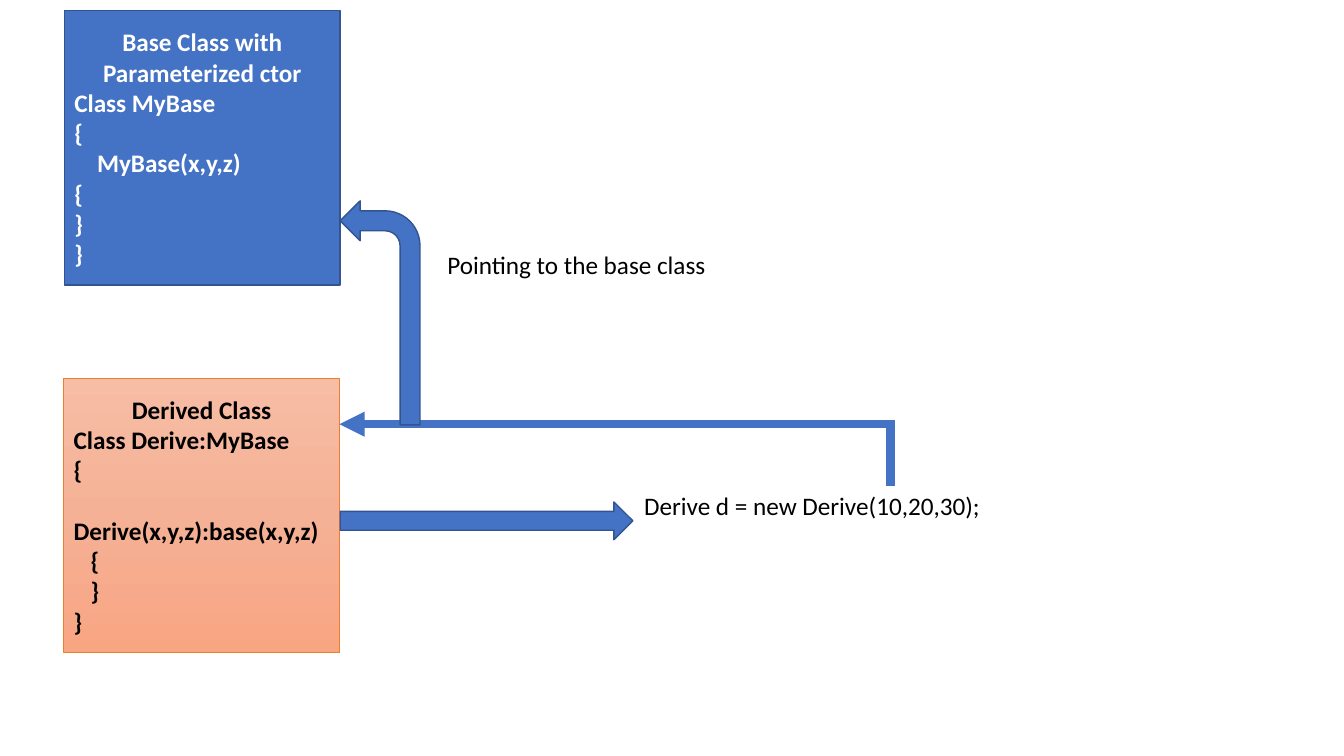
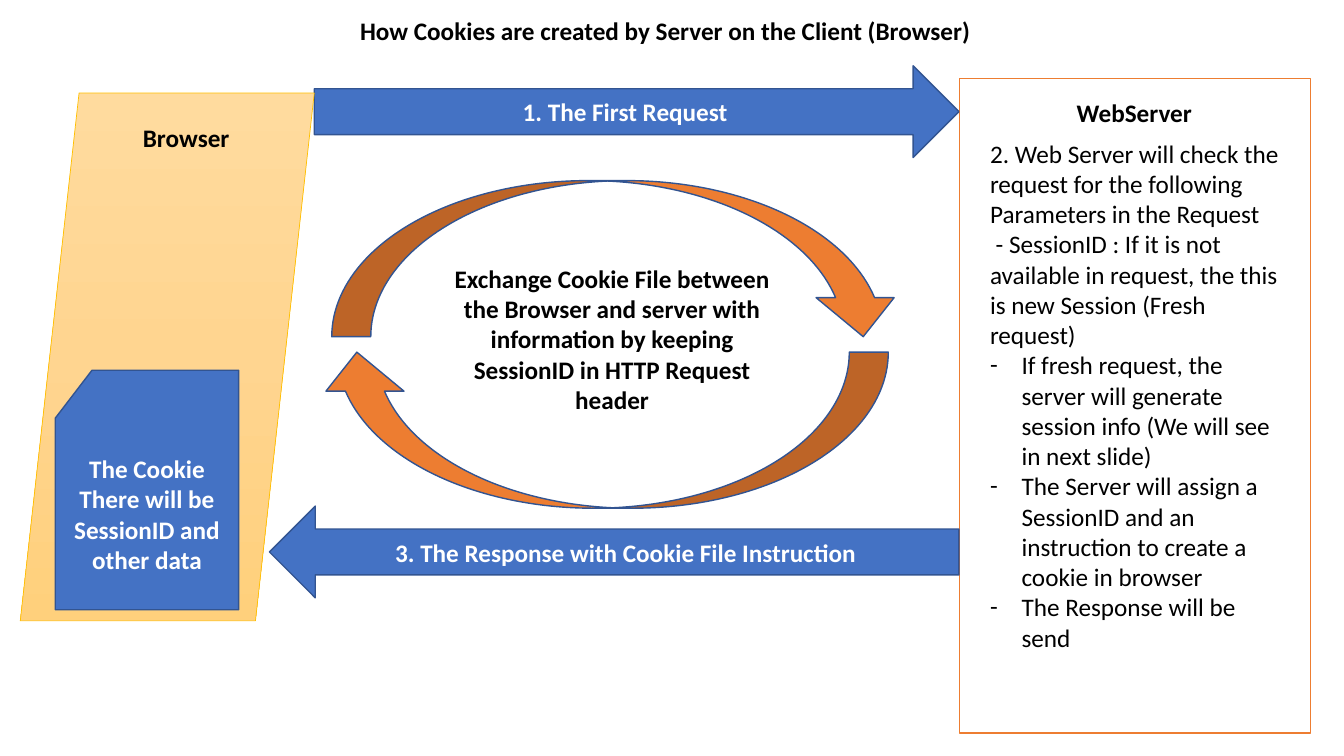
"""Two slides: constructor chaining in C# and the creation of cookies."""
from copy import deepcopy

from lxml.etree import SubElement
from pptx import Presentation
from pptx.dml.color import RGBColor
from pptx.enum.shapes import MSO_CONNECTOR, MSO_SHAPE
from pptx.enum.text import MSO_ANCHOR, MSO_AUTO_SIZE, PP_ALIGN
from pptx.oxml.ns import qn
from pptx.util import Pt

FONT = "Calibri"
BLACK = RGBColor(0x00, 0x00, 0x00)
WHITE = RGBColor(0xFF, 0xFF, 0xFF)
BLUE = RGBColor(0x44, 0x72, 0xC4)
NAVY = RGBColor(0x32, 0x54, 0x91)
ORANGE = RGBColor(0xED, 0x7D, 0x31)
GOLD = RGBColor(0xFF, 0xC0, 0x00)
PEACH = [RGBColor(0xF7, 0xBD, 0xA5), RGBColor(0xF5, 0xB1, 0x96), RGBColor(0xF8, 0xA5, 0x82)]
AMBER = [RGBColor(0xFF, 0xDB, 0x9E), RGBColor(0xFF, 0xD5, 0x90), RGBColor(0xFF, 0xD0, 0x7C)]
LEFT, CENTER = PP_ALIGN.LEFT, PP_ALIGN.CENTER

BASE_CLASS = ["Base Class with Parameterized ctor", "Class MyBase", "{",
              "    MyBase(x,y,z)", "{", "}", "}"]
DERIVED_CLASS = ["Derived Class", "Class Derive:MyBase", "{",
                 "   Derive(x,y,z):base(x,y,z)", "   {", "   }", "}"]
CALL = "Derive d = new Derive(10,20,30);"
POINTING = "Pointing to the base class"

TITLE = "How Cookies are created by Server on the Client (Browser)"
REQUEST = "1. The First Request"
RESPONSE = "3. The Response with Cookie File Instruction"
COOKIE = ["The Cookie", "There will be SessionID and other data"]
EXCHANGE = ("Exchange Cookie File between the Browser and server with information "
            "by keeping SessionID in HTTP Request header")
CHECKS = [
    "2. Web Server will check the request for the following Parameters in the Request",
    "- SessionID : If it is not available in request, the this is new Session (Fresh request)",
]
STEPS = [
    "If fresh request, the server will generate session info (We will see in next slide)",
    "The Server will assign a SessionID and an instruction to create a cookie in browser",
    "The Response will be send",
]
FIRST_INDENT, HANGING = 4, 22.5


def write(tf, lines, color=BLACK, bold=False, align=LEFT, rest=None, anchor=MSO_ANCHOR.TOP):
    """Fill a text frame; rest is the alignment after the first paragraph."""
    tf.word_wrap = True
    tf.vertical_anchor = anchor
    for i, line in enumerate([lines] if isinstance(lines, str) else lines):
        p = tf.add_paragraph() if i else tf.paragraphs[0]
        p.alignment = rest if i and rest is not None else align
        p.space_before = Pt(0)
        r = p.add_run()
        r.text = line
        r.font.name, r.font.size, r.font.bold = FONT, Pt(18), bold
        r.font.color.rgb = color


def place(sp, box):
    """Move and size a shape."""
    sp.left, sp.top, sp.width, sp.height = map(Pt, box)


def label(s, box, text, **fmt):
    """Add a text box."""
    sp = s.shapes.add_textbox(*map(Pt, box))
    write(sp.text_frame, text, **fmt)
    sp.text_frame.auto_size = MSO_AUTO_SIZE.SHAPE_TO_FIT_TEXT


def shape(s, kind, box, fill=BLUE, line=NAVY, weight=1, text=None, color=WHITE, rest=None):
    """Add a preset shape; a list of three colours is a downward gradient."""
    sp = s.shapes.add_shape(kind, *map(Pt, box))
    sp.shadow.inherit = False
    if isinstance(fill, list):
        sp.fill.gradient()
        sp.fill.gradient_angle = 270
        first = sp._element.spPr.find(".//" + qn("a:gs"))
        first.addnext(deepcopy(first))
        for stop, rgb, position in zip(sp.fill.gradient_stops, fill, (0, 0.5, 1)):
            stop.color.rgb, stop.position = rgb, position
    else:
        sp.fill.solid()
        sp.fill.fore_color.rgb = fill
    sp.line.color.rgb, sp.line.width = line, Pt(weight)
    if text:
        write(sp.text_frame, text, color=color, bold=True, align=CENTER, rest=rest,
              anchor=MSO_ANCHOR.MIDDLE)
    return sp


def bent_line(s, tip, tail):
    """Add a one-bend connector with an arrowhead at its tip."""
    c = s.shapes.add_connector(MSO_CONNECTOR.ELBOW, *map(Pt, tip + tail))
    spPr = c._element.spPr
    spPr.find(qn("a:prstGeom")).set("prst", "bentConnector2")
    c.line.color.rgb, c.line.width = BLUE, Pt(6)
    ln = c.line._get_or_add_ln()
    SubElement(ln, qn("a:miter"), lim="800000")
    SubElement(ln, qn("a:headEnd"), type="triangle")
    SubElement(spPr, qn("a:effectLst"))


def set_bullet(p, margin, indent, char=None):
    """Set the indents and the bullet of a paragraph."""
    pPr = p._p.get_or_add_pPr()
    pPr.set("marL", str(Pt(margin)))
    pPr.set("indent", str(Pt(indent)))
    if char:
        SubElement(pPr, qn("a:buFont"), typeface=FONT)
        SubElement(pPr, qn("a:buChar"), char=char)
    else:
        SubElement(pPr, qn("a:buNone"))


def constructor_slide(prs):
    """Base and derived class with the call between them."""
    s = prs.slides.add_slide(prs.slide_layouts[6])
    shape(s, MSO_SHAPE.RECTANGLE, (46, 7.5, 197, 196), text=BASE_CLASS, rest=LEFT)
    shape(s, MSO_SHAPE.RECTANGLE, (45.5, 270, 197, 196), PEACH, ORANGE, 0.5,
          DERIVED_CLASS, BLACK, LEFT)
    shape(s, MSO_SHAPE.RIGHT_ARROW, (243, 358.5, 209, 27))
    label(s, (453, 347, 366, 29), CALL)
    bent_line(s, (242.5, 303), (636, 347))
    arrow = shape(s, MSO_SHAPE.BENT_ARROW, (243, 143.5, 57, 160))
    arrow._element.spPr.find(qn("a:xfrm")).set("flipH", "1")
    label(s, (312.5, 174.5, 348, 29), POINTING)


def cookie_slide(prs):
    """Request and response between browser and web server."""
    s = prs.slides.add_slide(prs.slide_layouts[1])
    title, body = s.shapes.title, s.placeholders[1]
    place(title, (14.5, 7, 921.5, 29))
    write(title.text_frame, TITLE, bold=True, align=CENTER)
    shape(s, MSO_SHAPE.RECTANGLE, (685.5, 56, 250.5, 467.5), WHITE, ORANGE)
    label(s, (693.5, 66, 233.5, 29), "WebServer", bold=True, align=CENTER)
    shape(s, MSO_SHAPE.RIGHT_ARROW, (224.5, 47, 460.5, 65.5), text=REQUEST)

    s.shapes._spTree.append(body._element)
    place(body, (700, 95, 227.5, 422))
    write(body.text_frame, CHECKS + STEPS)
    for i, p in enumerate(body.text_frame.paragraphs):
        if i < len(CHECKS):
            set_bullet(p, 0, i * FIRST_INDENT)
        else:
            set_bullet(p, HANGING, -HANGING, "-")
    for sp in (title, body):
        sp.text_frame.auto_size = MSO_AUTO_SIZE.NONE

    shape(s, MSO_SHAPE.FLOWCHART_DATA, (14.5, 66.5, 210, 377), AMBER, GOLD, 0.5)
    label(s, (62, 83.5, 142, 29), "Browser", bold=True, align=CENTER)
    shape(s, MSO_SHAPE.LEFT_ARROW, (192.5, 361.5, 492.5, 65.5), text=RESPONSE)
    shape(s, MSO_SHAPE.FLOWCHART_CARD, (39.5, 264.5, 131, 171), text=COOKIE)
    for left, top, turn in ((237, 129, 0), (227, 251.5, 180)):
        arrow = shape(s, MSO_SHAPE.CURVED_DOWN_ARROW, (left, top, 407.5, 111.5), ORANGE)
        arrow.rotation = turn
    label(s, (309.5, 184.5, 255.5, 116.5), EXCHANGE, bold=True, align=CENTER)


def main():
    """Build and save the presentation."""
    prs = Presentation()
    prs.slide_width, prs.slide_height = Pt(960), Pt(540)
    constructor_slide(prs)
    cookie_slide(prs)
    prs.save("out.pptx")


if __name__ == "__main__":
    main()
